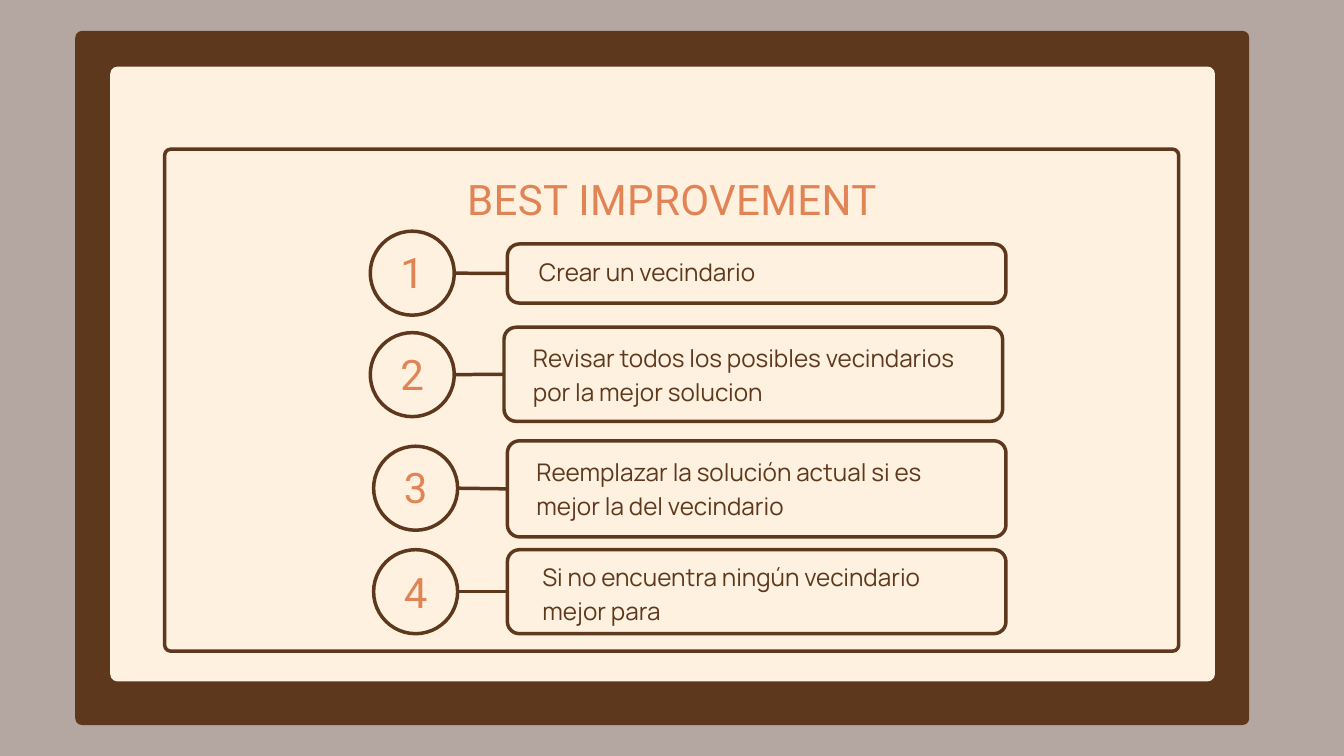
from typing import NamedTuple

from pptx import Presentation
from pptx.dml.color import RGBColor
from pptx.enum.shapes import MSO_CONNECTOR, MSO_SHAPE
from pptx.enum.text import PP_ALIGN
from pptx.oxml.ns import qn
from pptx.util import Inches, Pt
from lxml import etree

ROUNDED, OVAL = MSO_SHAPE.ROUNDED_RECTANGLE, MSO_SHAPE.OVAL
STRAIGHT = MSO_CONNECTOR.STRAIGHT
LEFT, CENTER = PP_ALIGN.LEFT, PP_ALIGN.CENTER

COLORS = {"wall": "B4A6A1", "brown": "5D381C", "cream": "FFF1DF", "orange": "E18455"}
LINE_WIDTH = 3.75
CIRCLE = 1.25
BOX_WIDTH = 7.42
BOX_RADIUS = 0.18
NUMBER_WIDTH = 2.13


class Box(NamedTuple):
    left: float
    top: float
    width: float
    height: float


class TextStyle(NamedTuple):
    font: str
    size: float
    color: str
    leading: float
    align: PP_ALIGN
    tracking: int = 0


class Step(NamedTuple):
    text: str
    circle_left: float
    circle_top: float
    box_left: float
    box_top: float
    box_height: float
    number_top: float
    text_area: Box


HEADING = TextStyle("Roboto", 45, "orange", 58, CENTER, 40)
BODY = TextStyle("Manrope", 26, "brown", 36.4, LEFT)

STEPS = [
    Step("Crear un vecindario", 5.51, 3.44, 7.55, 3.63, 0.88, 3.62,
         Box(8.02, 3.76, 6.47, 0.5)),
    Step("Revisar todos los posibles vecindarios por la mejor solucion",
         5.51, 4.95, 7.5, 4.87, 1.4, 5.13, Box(7.93, 5.04, 6.65, 1)),
    Step("Reemplazar la solución actual si es mejor la del vecindario",
         5.56, 6.64, 7.55, 6.56, 1.43, 6.81, Box(7.98, 6.73, 6.65, 1)),
    Step("Si no encuentra ningún vecindario mejor para",
         5.56, 8.18, 7.55, 8.18, 1.25, 8.38, Box(8.07, 8.3, 6.56, 1)),
]


def rgb(name: str) -> RGBColor:
    """Return a palette colour."""
    return RGBColor.from_string(COLORS[name])


def add_panel(s, kind: MSO_SHAPE, box: Box, radius: float = 0, fill: str = "") -> None:
    """Draw a filled panel, or a brown outline when no fill is given."""
    sp = s.shapes.add_shape(kind, *map(Inches, box))
    sp.shadow.inherit = False
    if kind == ROUNDED:
        sp.adjustments[0] = radius / min(box.width, box.height)
    if fill:
        sp.fill.solid()
        sp.fill.fore_color.rgb = rgb(fill)
        sp.line.fill.background()
    else:
        sp.fill.background()
        sp.line.color.rgb = rgb("brown")
        sp.line.width = Pt(LINE_WIDTH)


def add_link(s, x1: float, y1: float, x2: float, y2: float) -> None:
    """Draw a brown line between a circle and its box."""
    line = s.shapes.add_connector(STRAIGHT, *map(Inches, (x1, y1, x2, y2)))
    line.line.color.rgb = rgb("brown")
    line.line.width = Pt(LINE_WIDTH)
    etree.SubElement(line._element.spPr, qn("a:effectLst"))


def add_text(s, text: str, box: Box, style: TextStyle) -> None:
    """Place a text box without margins."""
    tf = s.shapes.add_textbox(*map(Inches, box)).text_frame
    tf.word_wrap = True
    tf.margin_left = tf.margin_top = tf.margin_right = tf.margin_bottom = 0
    tf.text = text
    p = tf.paragraphs[0]
    p.alignment = style.align
    p.line_spacing = Pt(style.leading)
    r = p.runs[0]
    r.font.name = style.font
    r.font.size = Pt(style.size)
    r.font.color.rgb = rgb(style.color)
    if style.tracking:
        r._r.get_or_add_rPr().set("spc", str(style.tracking))


def add_step(s, number: int, step: Step) -> None:
    """Draw a numbered circle linked to its boxed text."""
    add_panel(s, OVAL, Box(step.circle_left, step.circle_top, CIRCLE, CIRCLE))
    add_panel(s, ROUNDED, Box(step.box_left, step.box_top, BOX_WIDTH, step.box_height),
              BOX_RADIUS)
    add_link(s, step.circle_left + CIRCLE, step.circle_top + CIRCLE / 2,
             step.box_left, step.box_top + step.box_height / 2)
    number_left = step.circle_left + (CIRCLE - NUMBER_WIDTH) / 2
    add_text(s, str(number), Box(number_left, step.number_top, NUMBER_WIDTH, 0.8), HEADING)
    add_text(s, step.text, step.text_area, BODY)


def main() -> None:
    """Build the slide and save it."""
    prs = Presentation()
    prs.slide_width, prs.slide_height = Inches(20), Inches(11.25)
    s = prs.slides.add_slide(prs.slide_layouts[6])
    s.background.fill.solid()
    s.background.fill.fore_color.rgb = rgb("wall")
    add_panel(s, ROUNDED, Box(1.12, 0.46, 17.47, 10.33), 0.1, "brown")
    add_panel(s, ROUNDED, Box(1.64, 0.99, 16.44, 9.15), 0.11, "cream")
    add_panel(s, ROUNDED, Box(2.45, 2.22, 15.09, 7.47), 0.09)
    add_text(s, "BEST IMPROVEMENT", Box(5.29, 2.53, 9.42, 0.8), HEADING)
    for number, step in enumerate(STEPS, 1):
        add_step(s, number, step)
    prs.save("out.pptx")


if __name__ == "__main__":
    main()
